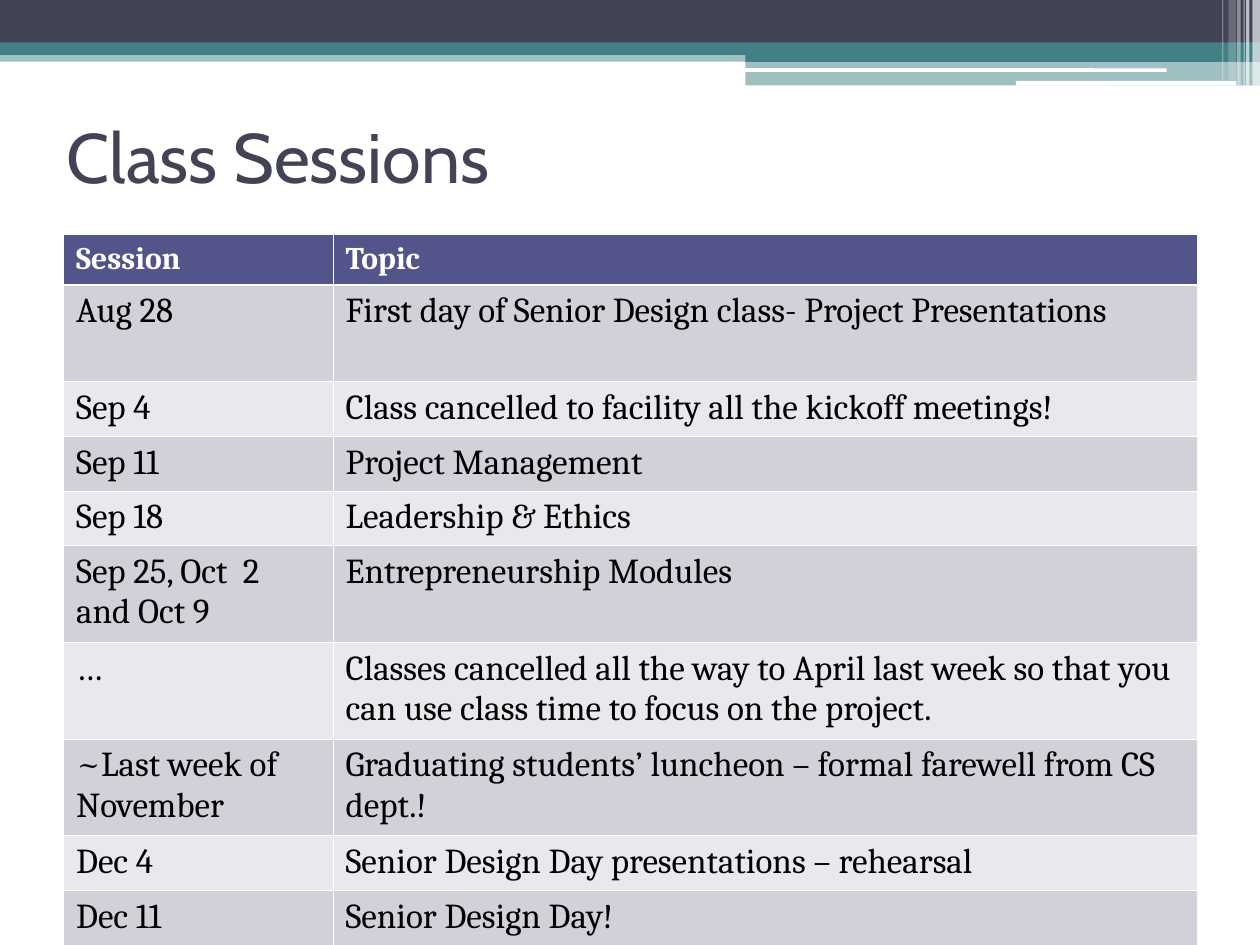
from pptx import Presentation
from pptx.dml.color import RGBColor
from pptx.enum.shapes import MSO_SHAPE
from pptx.enum.text import MSO_ANCHOR
from pptx.oxml import parse_xml
from pptx.oxml.ns import nsdecls
from pptx.util import Pt

# Content: session, topic, lines of row height
TITLE = "Class Sessions"
HEAD = ("Session", "Topic")
ROWS = [
    ("Aug 28", "First day of Senior Design class- Project Presentations", 2),
    ("Sep 4", "Class cancelled to facility all the kickoff meetings!", 1),
    ("Sep 11", "Project Management", 1),
    ("Sep 18", "Leadership & Ethics", 1),
    ("Sep 25, Oct  2 and Oct 9", "Entrepreneurship Modules", 2),
    ("…", "Classes cancelled all the way to April last week so that you "
     "can use class time to focus on the project.", 2),
    ("~Last week of November",
     "Graduating students’ luncheon – formal farewell from CS dept.!", 2),
    ("Dec 4", "Senior Design Day presentations – rehearsal", 1),
    ("Dec 11", "Senior Design Day!", 1),
]

THEME = {
    "navy": "424456", "teal": "438086", "white": "FFFFFF", "black": "000000",
    "head": "53548A", "bands": ("D1D1DA", "E9E9ED"),
    "title_font": "Cabin", "body_font": "Cambria",
    "title_size": 40, "head_size": 18, "body_size": 20,
    "thin": 0.45, "thick": 1.47,
}

# Banner bars: left, top, width, height, colour, opacity in percent
BARS = [
    (0, 28.8, 720, 6.5, "teal", 50),
    (0, 0, 720, 24.5, "navy", 100),
    (0, 24.2, 720, 7.2, "teal", 100),
    (426, 28.2, 294, 7.2, "teal", 100),
    (426, 35, 294, 13.8, "teal", 50),
]
PILLS = [(425.5, 39, 241.2, 2), (580.5, 46.3, 126, 2.6)]
# Stripes at the right edge: left, width, height, opacity
STRIPES = [
    (715.7, 4.3, 48.8, 65), (712, 2, 48.8, 65), (710.6, 0.7, 48.8, 60),
    (707, 2, 48.8, 40), (702, 4.3, 46, 20), (698.4, 0.7, 46, 30),
]

COLS = (154, 494)
HEAD_ROW = 28.6
ROW_BASE, LINE = 7.1, 24.05


def paint(fill, tone):
    fill.solid()
    fill.fore_color.rgb = RGBColor.from_string(tone)


def bar(slide, box, tone, alpha=100, kind=MSO_SHAPE.RECTANGLE):
    shape = slide.shapes.add_shape(kind, *map(Pt, box))
    shape.shadow.inherit = False
    shape.line.fill.background()
    paint(shape.fill, THEME[tone])
    if alpha < 100:
        color = shape.fill._xPr.find(".//{*}srgbClr")
        color.append(parse_xml(
            f'<a:alpha {nsdecls("a")} val="{alpha * 1000}"/>'))


def write(frame, text, font="body_font", size="body_size", tone="black",
          bold=False):
    frame.word_wrap = True
    run = frame.paragraphs[0].add_run()
    run.text = text
    run.font.name = THEME[font]
    run.font.size = Pt(THEME[size])
    run.font.bold = bold
    run.font.color.rgb = RGBColor.from_string(THEME[tone])


def edge(cell, sides):
    props = cell._tc.get_or_add_tcPr()
    for spot, (side, width) in enumerate(sides.items()):
        props.insert(spot, parse_xml(
            f'<a:ln{side} {nsdecls("a")} w="{Pt(width)}"><a:solidFill>'
            f'<a:srgbClr val="{THEME["white"]}"/></a:solidFill></a:ln{side}>'))


def banner(slide):
    for *box, tone, alpha in BARS:
        bar(slide, box, tone, alpha)
    for box in PILLS:
        bar(slide, box, "white", kind=MSO_SHAPE.ROUNDED_RECTANGLE)
    for left, width, height, alpha in STRIPES:
        bar(slide, (left, 0, width, height), "white", alpha)


def sessions(slide):
    heights = [HEAD_ROW] + [ROW_BASE + LINE * row[2] for row in ROWS]
    box = (36.3, 134.1, sum(COLS), sum(heights))
    table = slide.shapes.add_table(
        len(heights), len(COLS), *map(Pt, box)).table
    for col, width in zip(table.columns, COLS):
        col.width = Pt(width)
    thin, thick = THEME["thin"], THEME["thick"]
    for r, texts in enumerate([HEAD] + [row[:2] for row in ROWS]):
        table.rows[r].height = Pt(heights[r])
        style = {"size": "head_size", "tone": "white", "bold": True}
        tone = THEME["bands"][(r - 1) % 2] if r else THEME["head"]
        for c, text in enumerate(texts):
            cell = table.cell(r, c)
            write(cell.text_frame, text, **({} if r else style))
            paint(cell.fill, tone)
            edge(cell, {"L": thin, "R": thin,
                        "T": thick if r == 1 else thin,
                        "B": thin if r else thick})


def main():
    deck = Presentation()
    deck.slide_width, deck.slide_height = Pt(720), Pt(540)
    slide = deck.slides.add_slide(deck.slide_layouts[6])
    paint(slide.background.fill, THEME["white"])
    banner(slide)
    # Title
    frame = slide.shapes.add_textbox(
        Pt(31), Pt(54.7), Pt(648), Pt(68.4)).text_frame
    frame.vertical_anchor = MSO_ANCHOR.MIDDLE
    write(frame, TITLE, font="title_font", size="title_size", tone="navy")
    # Timetable
    sessions(slide)
    deck.save("out.pptx")


if __name__ == "__main__":
    main()
